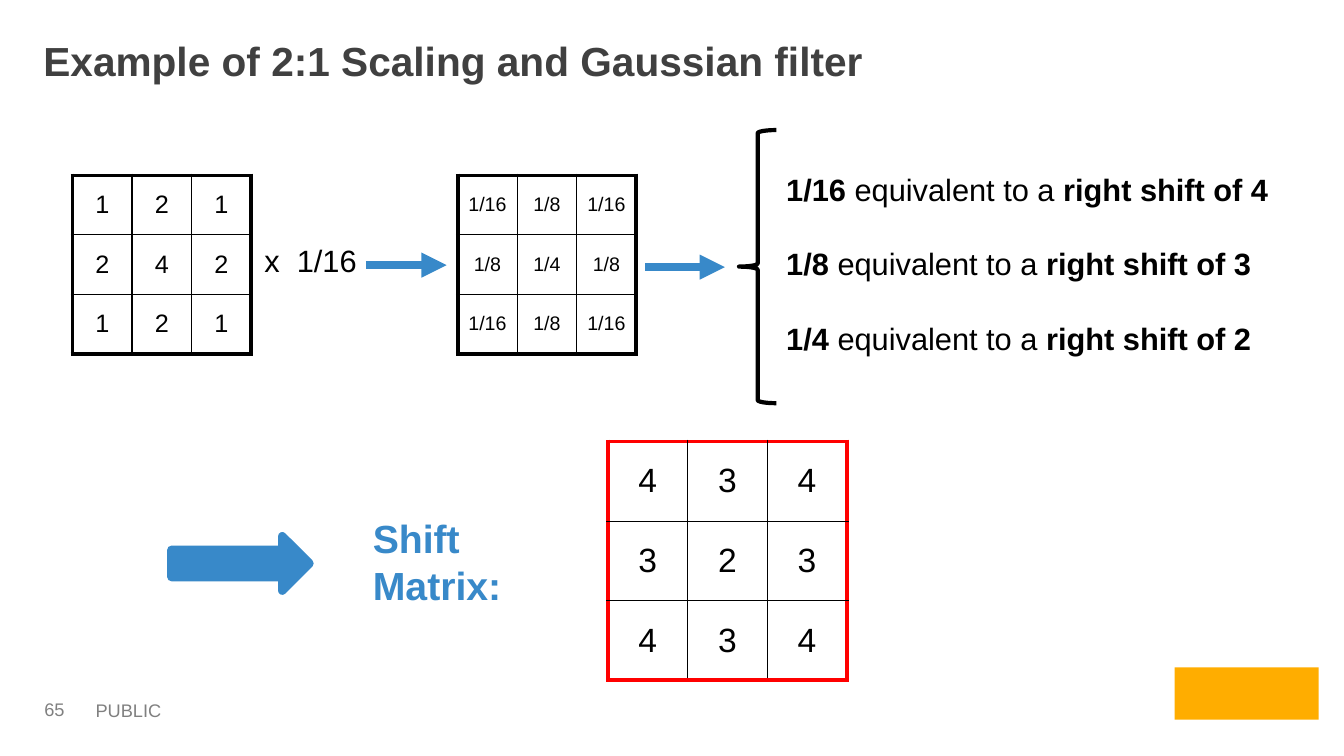
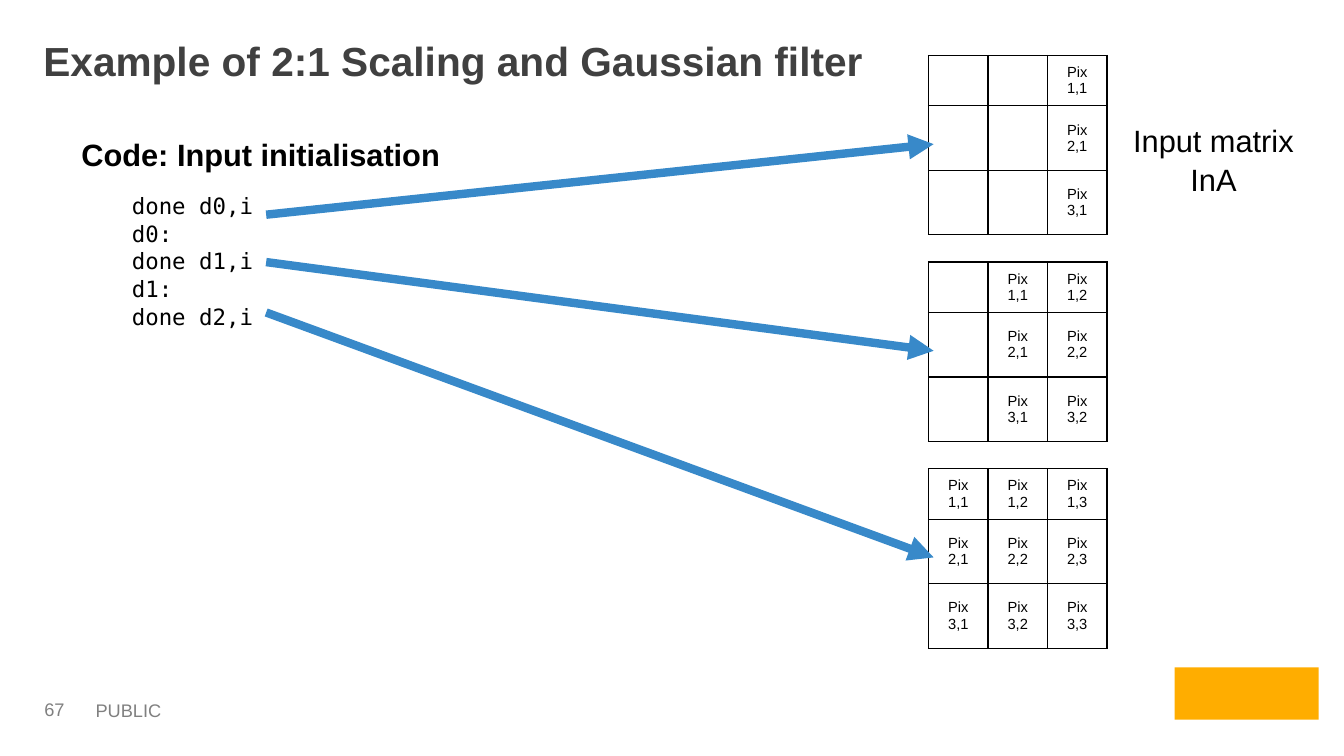
from lxml import etree
from pptx import Presentation
from pptx.dml.color import RGBColor
from pptx.enum.shapes import MSO_CONNECTOR, MSO_SHAPE
from pptx.enum.text import MSO_ANCHOR, PP_ALIGN
from pptx.oxml.ns import qn
from pptx.util import Pt

PX = 9144  # 100 px to the inch
LEFT, CENTER = PP_ALIGN.LEFT, PP_ALIGN.CENTER
TOP, MIDDLE = MSO_ANCHOR.TOP, MSO_ANCHOR.MIDDLE
STRAIGHT = MSO_CONNECTOR.STRAIGHT
BRACE, BLOCK_ARROW = MSO_SHAPE.LEFT_BRACE, MSO_SHAPE.RIGHT_ARROW
RECTANGLE = MSO_SHAPE.RECTANGLE

COLORS = {
    "ink": "000000",
    "title": "404040",
    "footer": "808080",
    "accent": "3889C9",
    "frame": "FF0000",
    "badge": "FFAD00",
}
SANS, MONO = "Arial", "DejaVu Sans Mono"
TITLE = "Example of 2:1 Scaling and Gaussian filter"


def px(*lengths):
    return [length * PX for length in lengths]


def rgb(name):
    return RGBColor.from_string(COLORS[name])


def style(font, size, color="ink", bold=False, name=SANS):
    font.name = name
    font.size = Pt(size)
    font.bold = bold
    font.color.rgb = rgb(color)


# Text

def write(frame, lines, size, color="ink", bold=False, name=SANS,
          align=LEFT, gap=0):
    """Each line is a string or a list of (text, bold) spans."""
    for index, line in enumerate(lines):
        para = frame.paragraphs[0] if index == 0 else frame.add_paragraph()
        para.alignment = align
        if index:
            para.space_before = Pt(gap)
        style(para.font, size, color, bold, name)
        spans = [(line, bold)] if isinstance(line, str) else line
        for text, strong in spans:
            span = para.add_run()
            span.text = text
            if strong != bold:
                span.font.bold = strong


def add_text(page, place, lines, size, anchor=TOP, wrap=True, **look):
    frame = page.shapes.add_textbox(*px(*place)).text_frame
    frame.word_wrap = wrap
    frame.vertical_anchor = anchor
    write(frame, lines, size, **look)
    return frame


# Shapes and arrows

def add_shape(page, kind, place, fill=None, line=None, width=0):
    shape = page.shapes.add_shape(kind, *px(*place))
    shape.shadow.inherit = False
    if fill:
        shape.fill.solid()
        shape.fill.fore_color.rgb = rgb(fill)
    else:
        shape.fill.background()
    if line:
        shape.line.color.rgb = rgb(line)
        shape.line.width = Pt(width)
    else:
        shape.line.fill.background()


def add_arrow(page, start, end):
    arrow = page.shapes.add_connector(STRAIGHT, *px(*start, *end))
    arrow.line.color.rgb = rgb("accent")
    arrow.line.width = Pt(6)
    line = arrow.line._get_or_add_ln()
    etree.SubElement(line, qn("a:tailEnd"), type="triangle")
    etree.SubElement(arrow._element.spPr, qn("a:effectLst"))


# Matrices

def add_border(cell, side, color, width):
    line = etree.SubElement(cell._tc.get_or_add_tcPr(), qn("a:ln" + side),
                            w=str(Pt(width)))
    fill = etree.SubElement(line, qn("a:solidFill"))
    etree.SubElement(fill, qn("a:srgbClr"), val=COLORS[color])


def add_matrix(page, left, top, col_width, row_heights, values, size,
               frame=("ink", 1)):
    """Draw a grid with thin inner lines and the given outer frame."""
    rows, cols = len(values), len(values[0])
    table = page.shapes.add_table(
        rows, cols, *px(left, top, col_width * cols, sum(row_heights))).table
    table.first_row = table.horz_banding = False
    for column in table.columns:
        column.width = col_width * PX
    for r, height in enumerate(row_heights):
        table.rows[r].height = height * PX
        for c, value in enumerate(values[r]):
            cell = table.cell(r, c)
            outer = {"L": c == 0, "R": c == cols - 1,
                     "T": r == 0, "B": r == rows - 1}
            for side, is_outer in outer.items():
                add_border(cell, side, *(frame if is_outer else ("ink", 1)))
            cell.fill.background()
            cell.vertical_anchor = MIDDLE
            write(cell.text_frame, [value], size, align=CENTER)


# Pages

def add_page(deck, number):
    page = deck.slides.add_slide(deck.slide_layouts[5])
    title = page.shapes.title
    title.left, title.top, title.width, title.height = px(33, 31, 1275, 72)
    title.text_frame.vertical_anchor = TOP
    write(title.text_frame, [TITLE], 29, "title", bold=True)

    add_text(page, (85, 689, 398, 34), ["PUBLIC"], 13, color="footer")
    frame = add_text(page, (37, 689, 65, 30), [str(number)], 13,
                     anchor=MIDDLE, color="footer")
    frame.margin_left = frame.margin_right = 7 * PX
    frame.margin_top = frame.margin_bottom = 4 * PX
    add_shape(page, RECTANGLE, (1165, 662, 143, 52), fill="badge")
    return page


def build_shift_page(deck):
    page = add_page(deck, 65)

    # Kernel and its fractions
    kernel = [["1", "2", "1"], ["2", "4", "2"], ["1", "2", "1"]]
    fractions = {"1": "1/16", "2": "1/8", "4": "1/4"}
    shifts = {"1": "4", "2": "3", "4": "2"}

    def convert(names):
        return [[names[value] for value in row] for row in kernel]

    add_matrix(page, 72, 174, 59, [59] * 3, kernel, 18, ("ink", 3))
    add_text(page, (247, 235, 122, 55), ["x  1/16"], 22, wrap=False,
             align=CENTER)
    add_arrow(page, (363, 263), (443, 263))
    add_matrix(page, 454, 174, 59, [59] * 3, convert(fractions), 14,
               ("ink", 3))

    # Equivalent shifts
    add_arrow(page, (640, 265), (719, 265))
    add_shape(page, BRACE, (733, 129, 37, 271), line="ink", width=3)
    rules = [[(fractions[value], True), (" equivalent to a ", False),
              (f"right shift of {shift}", True)]
             for value, shift in shifts.items()]
    add_text(page, (770, 164, 523, 187), rules, 22, gap=27)

    # Shift matrix
    add_shape(page, BLOCK_ARROW, (170, 532, 137, 54), "accent", "accent", 6)
    add_matrix(page, 603, 438, 79, [79] * 3, convert(shifts), 24,
               ("frame", 3))
    add_text(page, (360, 532, 243, 50), ["Shift Matrix:"], 28, anchor=MIDDLE,
             wrap=False, color="accent", bold=True)


def build_input_page(deck):
    page = add_page(deck, 67)

    # Code
    add_text(page, (71, 130, 974, 54), ["Code: Input initialisation"], 22,
             bold=True)
    code = ["done d0,i", "d0:", "done d1,i", "d1:", "done d2,i"]
    add_text(page, (121, 186, 548, 145), code, 16, name=MONO, gap=0.5)

    # Input matrix, filled by one more column at each step
    for step, arrow_top in enumerate((213, 260, 310)):
        top = 55 + 205 * step
        pixels = [[f"Pix {row},{col + step - 1}" if col + step > 1 else ""
                   for col in range(3)] for row in range(1, 4)]
        add_matrix(page, 921, top, 59, [50, 64, 64], pixels, 10.5)
        add_arrow(page, (264, arrow_top), (926, top + 88))
    add_text(page, (1104, 116, 199, 82), ["Input matrix", "InA"], 22,
             align=CENTER, gap=1)


def main():
    deck = Presentation()
    deck.slide_width, deck.slide_height = px(1333, 750)
    build_shift_page(deck)
    build_input_page(deck)
    deck.save("out.pptx")


if __name__ == "__main__":
    main()
